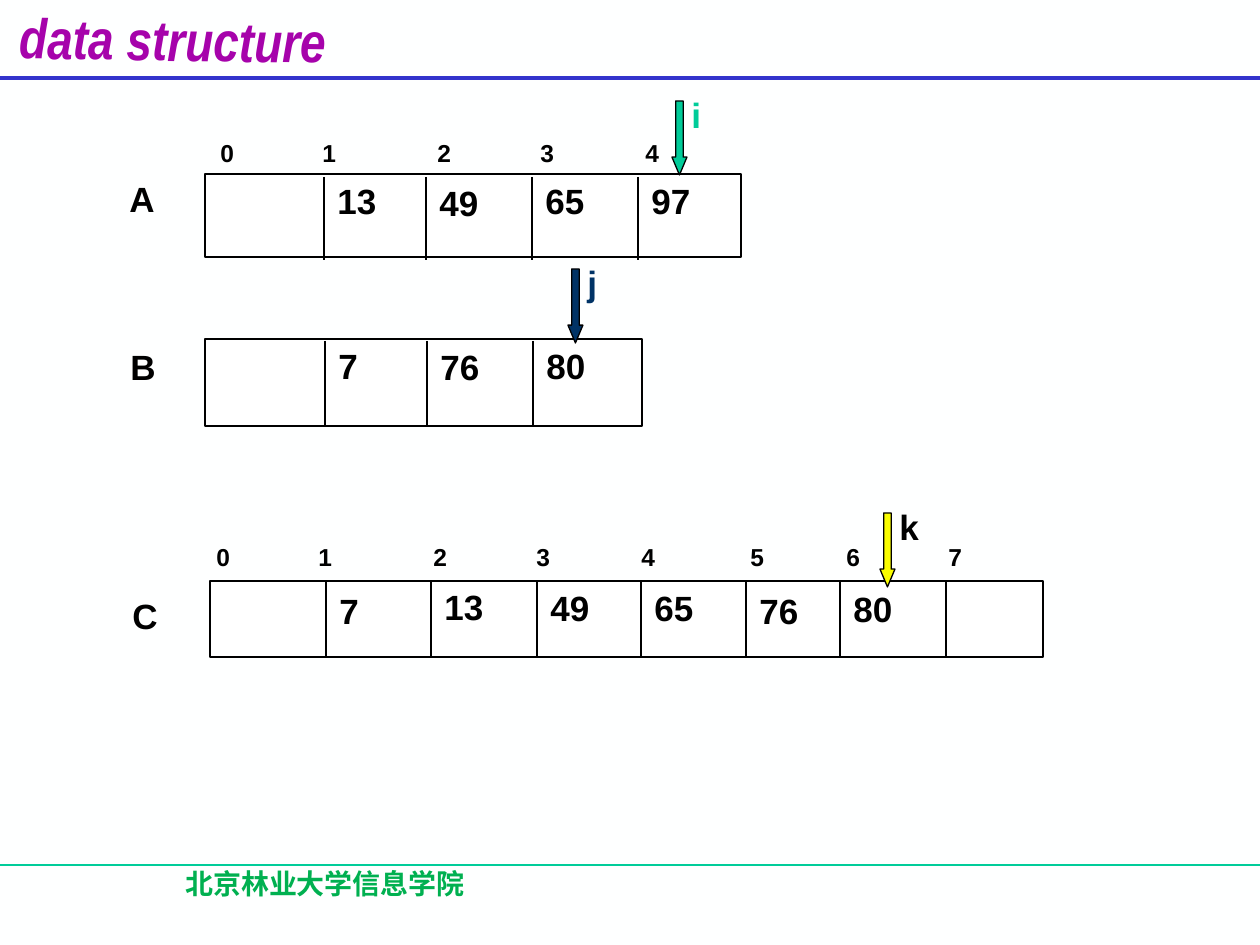
import pptx
import pptx.dml.color
import pptx.enum.shapes
import pptx.enum.text
import pptx.oxml.ns
import pptx.util
from lxml import etree

RGBColor = pptx.dml.color.RGBColor
MSO_SHAPE = pptx.enum.shapes.MSO_SHAPE
qn = pptx.oxml.ns.qn

PX = 914400 / 126
BACKGROUND = RGBColor(0xFE, 0xFF, 0xFF)
WHITE = RGBColor(0xFF, 0xFF, 0xFF)
BLACK = RGBColor(0x00, 0x00, 0x00)
PURPLE = RGBColor(0xA6, 0x03, 0xAB)
BLUE = RGBColor(0x33, 0x33, 0xCC)
TEAL = RGBColor(0x00, 0xCC, 0x99)
NAVY = RGBColor(0x00, 0x33, 0x66)
YELLOW = RGBColor(0xFA, 0xFD, 0x00)
GREEN = RGBColor(0x00, 0xB0, 0x50)

INDEX_STOPS = [102, 217, 320, 425, 534, 630, 732]


def add_text(shapes, text, left, top, width, height, size=20, color=BLACK,
             font="Arial", stops=()):
    box = shapes.add_textbox(*(round(v * PX) for v in (left, top, width, height)))
    box.text_frame.word_wrap = True
    paragraph = box.text_frame.paragraphs[0]
    paragraph.text = text
    if stops:
        tabs = etree.SubElement(paragraph._p.get_or_add_pPr(), qn("a:tabLst"))
        for stop in stops:
            etree.SubElement(tabs, qn("a:tab"), pos=str(round(stop * PX)), algn="l")
    paragraph.font.size = pptx.util.Pt(size)
    paragraph.font.bold = True
    paragraph.font.name = font
    paragraph.font.color.rgb = color
    return box


def add_line(x1, y1, x2, y2, color=BLACK, weight=0.75):
    line = slide.shapes.add_connector(
        pptx.enum.shapes.MSO_CONNECTOR.STRAIGHT,
        *(round(v * PX) for v in (x1, y1, x2, y2)))
    line.line.color.rgb = color
    line.line.width = pptx.util.Pt(weight)
    etree.SubElement(line._element.spPr, qn("a:effectLst"))


deck = pptx.Presentation()
deck.slide_width = round(1260 * PX)
deck.slide_height = round(945 * PX)
slide = deck.slides.add_slide(deck.slide_layouts[6])
slide.background.fill.solid()
slide.background.fill.fore_color.rgb = BACKGROUND

# Header and footer
add_line(0, 865, 1260, 865, TEAL)
add_line(0, 78, 1260, 78, BLUE, 2.25)

title = add_text(slide.shapes, "data structure", 7, -1, 345, 68, 32, PURPLE, "Arial Narrow")
title.rotation = 0.8
title.text_frame.paragraphs[0].font.italic = True

footer = add_text(slide.shapes, "北京林业大学信息学院", 64, 860, 522, 63, 16, GREEN,
                  "Noto Sans CJK SC")
school = footer.text_frame.paragraphs[0]
school.alignment = pptx.enum.text.PP_ALIGN.CENTER
etree.SubElement(school._p.pPr.find(qn("a:defRPr")), qn("a:ea"), typeface="Noto Sans CJK SC")

# Arrays: name and its place, frame, divider ends, dividers, values with their tops
arrays = [
    ("A", (117, 171), (205, 174, 536, 83), (177, 260), [324, 426, 532, 638],
     [("13", 173), ("49", 175), ("65", 173), ("97", 173)]),
    ("B", (118, 339), (205, 339, 437, 87), (341, 425), [325, 427, 533],
     [("7", 338), ("76", 339), ("80", 338)]),
    ("C", (120, 588), (210, 581, 833, 76), (581, 658), [326, 431, 537, 641, 746, 840, 946],
     [("7", 583), ("13", 579), ("49", 580), ("65", 580), ("76", 583), ("80", 581)]),
]
for name, name_place, frame, (divider_top, divider_bottom), dividers, values in arrays:
    cells = slide.shapes.add_shape(MSO_SHAPE.RECTANGLE, *(round(v * PX) for v in frame))
    cells.shadow.inherit = False
    cells.fill.solid()
    cells.fill.fore_color.rgb = WHITE
    cells.line.color.rgb = BLACK
    cells.line.width = pptx.util.Pt(0.75)
    for x in dividers:
        add_line(x, divider_top, x, divider_bottom)
    for x, (value, top) in zip(dividers, values):
        add_text(slide.shapes, value, x + 1, top, 84, 55)
    add_text(slide.shapes, name, *name_place, 84, 55)

# Index rows above A and C
for left, top, width, count in [(208, 132, 536, 5), (204, 536, 839, 8)]:
    add_text(slide.shapes, "\t".join(str(i) for i in range(count)), left, top, width, 43,
             14, stops=INDEX_STOPS[:count - 1])

# Pointers into the arrays
pointers = [
    ("i", 672, 101, TEAL, TEAL),
    ("j", 568, 269, NAVY, NAVY),
    ("k", 880, 513, YELLOW, BLACK),
]
for name, left, top, arrow_color, name_color in pointers:
    pointer = slide.shapes.add_group_shape()
    arrow = pointer.shapes.add_shape(
        MSO_SHAPE.DOWN_ARROW, *(round(v * PX) for v in (left, top, 15, 74)))
    arrow.adjustments[0] = 0.5
    arrow.adjustments[1] = 1.19
    arrow.shadow.inherit = False
    arrow.fill.solid()
    arrow.fill.fore_color.rgb = arrow_color
    arrow.line.color.rgb = BLACK
    arrow.line.width = pptx.util.Pt(0.75)
    add_text(pointer.shapes, name, left + 7, top - 14, 67, 55, color=name_color)

deck.save("out.pptx")
